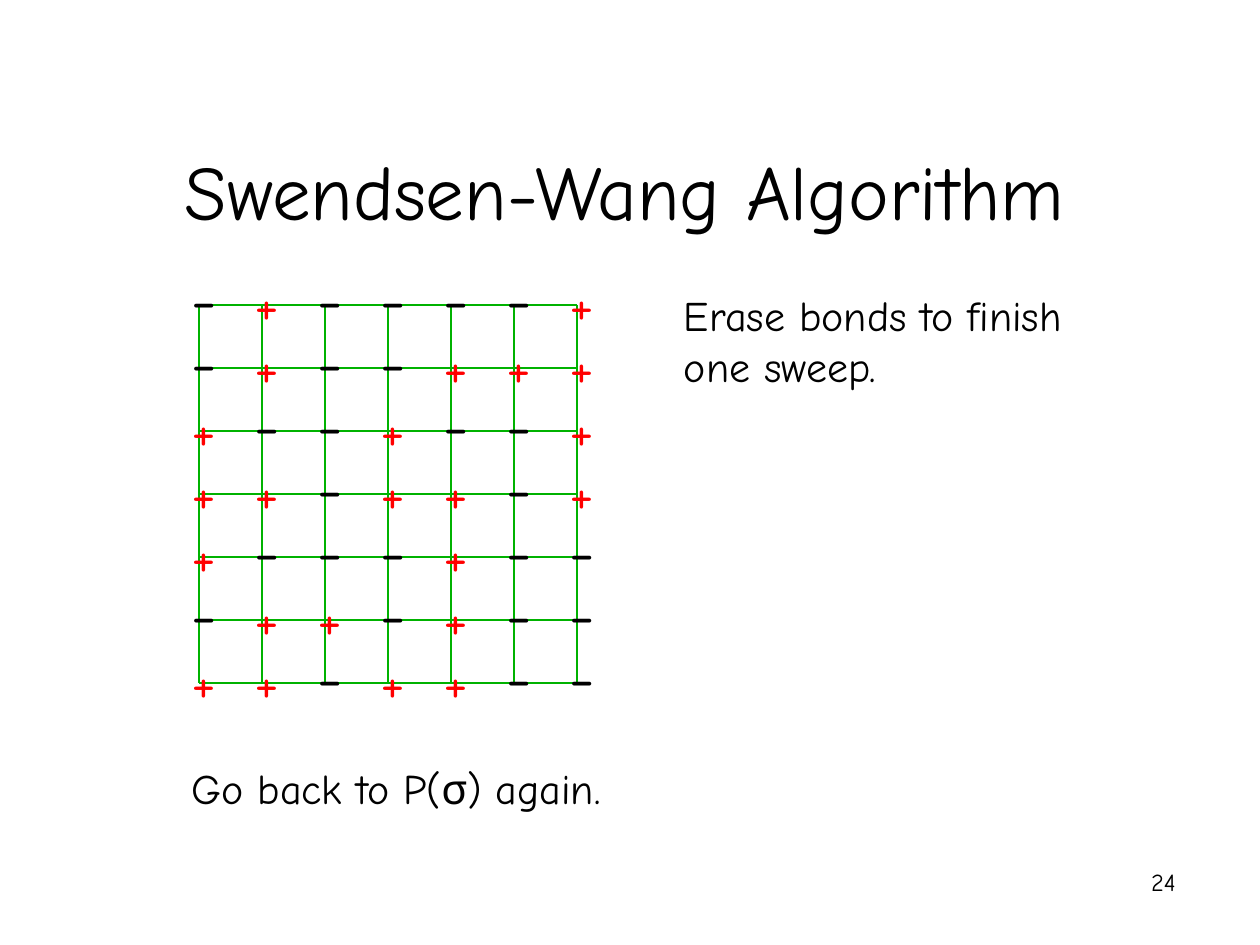
from pptx import Presentation
from pptx.dml.color import RGBColor
from pptx.enum.shapes import MSO_CONNECTOR
from pptx.enum.text import MSO_ANCHOR, MSO_AUTO_SIZE as AUTO, PP_ALIGN as ALIGN
from pptx.oxml.ns import qn
from pptx.util import Inches, Pt
from lxml.etree import SubElement

BLACK = RGBColor(0x00, 0x00, 0x00)
RED = RGBColor(0xFF, 0x00, 0x00)
GREEN = RGBColor(0x00, 0xB2, 0x00)
FONT = "Comic Neue"
LEFT, TOP, STEP = 1.58, 2.42, 0.5
SPINS = [
    "-+----+",
    "-+--+++",
    "+--+--+",
    "++-++-+",
    "+---+--",
    "-++-+--",
    "++-++--",
]


def set_text(sp, text, size=24, color=BLACK, align=ALIGN.LEFT, anchor=MSO_ANCHOR.TOP, fit=AUTO.NONE):
    """Write one formatted paragraph into a shape."""
    tf = sp.text_frame
    tf.word_wrap = True
    tf.auto_size = fit
    tf.vertical_anchor = anchor
    p = tf.paragraphs[0]
    p.alignment = align
    r = p.add_run()
    r.text = text
    r.font.name = FONT
    r.font.size = Pt(size)
    r.font.color.rgb = color


def add_text(s, x, y, w, h, text, **fmt):
    """Add a text box."""
    sp = s.shapes.add_textbox(Inches(x), Inches(y), Inches(w), Inches(h))
    set_text(sp, text, **fmt)


def add_title(s, text):
    """Place and fill the title placeholder."""
    sp = s.shapes.title
    sp.left, sp.top = Inches(0.75), Inches(0.17)
    sp.width, sp.height = Inches(8.42), Inches(1.75)
    set_text(sp, text, size=44, align=ALIGN.CENTER, anchor=MSO_ANCHOR.BOTTOM)


def add_line(s, x1, y1, x2, y2):
    """Add a thin green lattice line."""
    ends = [Inches(v) for v in (x1, y1, x2, y2)]
    sp = s.shapes.add_connector(MSO_CONNECTOR.STRAIGHT, *ends)
    sp.line.color.rgb = GREEN
    sp.line.width = Pt(0.75)
    SubElement(sp._element.spPr, qn("a:effectLst"))


def add_lattice(s):
    """Draw the vertical and horizontal lattice lines."""
    n = len(SPINS)
    side = (n - 1) * STEP
    for i in range(n):
        x = LEFT + i * STEP
        add_line(s, x, TOP, x, TOP + side)
    for i in range(n):
        y = TOP + i * STEP
        add_line(s, LEFT, y, LEFT + side, y)


def add_spin(s, row, col, sign):
    """Put a plus or minus spin on a lattice site."""
    x, y = LEFT - 0.16 + col * STEP, TOP + row * STEP
    if sign == "+":
        add_text(s, x, y - 0.34, 0.42, 0.64, sign, size=32, color=RED, fit=AUTO.SHAPE_TO_FIT_TEXT)
    else:
        add_text(s, x, y - 0.42, 0.42, 0.7, sign, size=36, fit=AUTO.SHAPE_TO_FIT_TEXT)


def main():
    """Build the slide and save it."""
    prs = Presentation()
    prs.slide_width, prs.slide_height = Inches(10), Inches(7.5)
    s = prs.slides.add_slide(prs.slide_layouts[5])
    add_title(s, "Swendsen-Wang Algorithm")
    add_lattice(s)
    for row, signs in enumerate(SPINS):
        for col, sign in enumerate(signs):
            add_spin(s, row, col, sign)
    add_text(s, 5.33, 2.25, 3.67, 0.9, "Erase bonds to finish one sweep.", fit=AUTO.SHAPE_TO_FIT_TEXT)
    add_text(s, 1.42, 6, 4, 0.5, "Go back to P(σ) again.", fit=AUTO.SHAPE_TO_FIT_TEXT)
    add_text(s, 7.35, 6.83, 2.08, 0.5, "24", size=14, align=ALIGN.RIGHT)
    prs.save("out.pptx")


if __name__ == "__main__":
    main()
